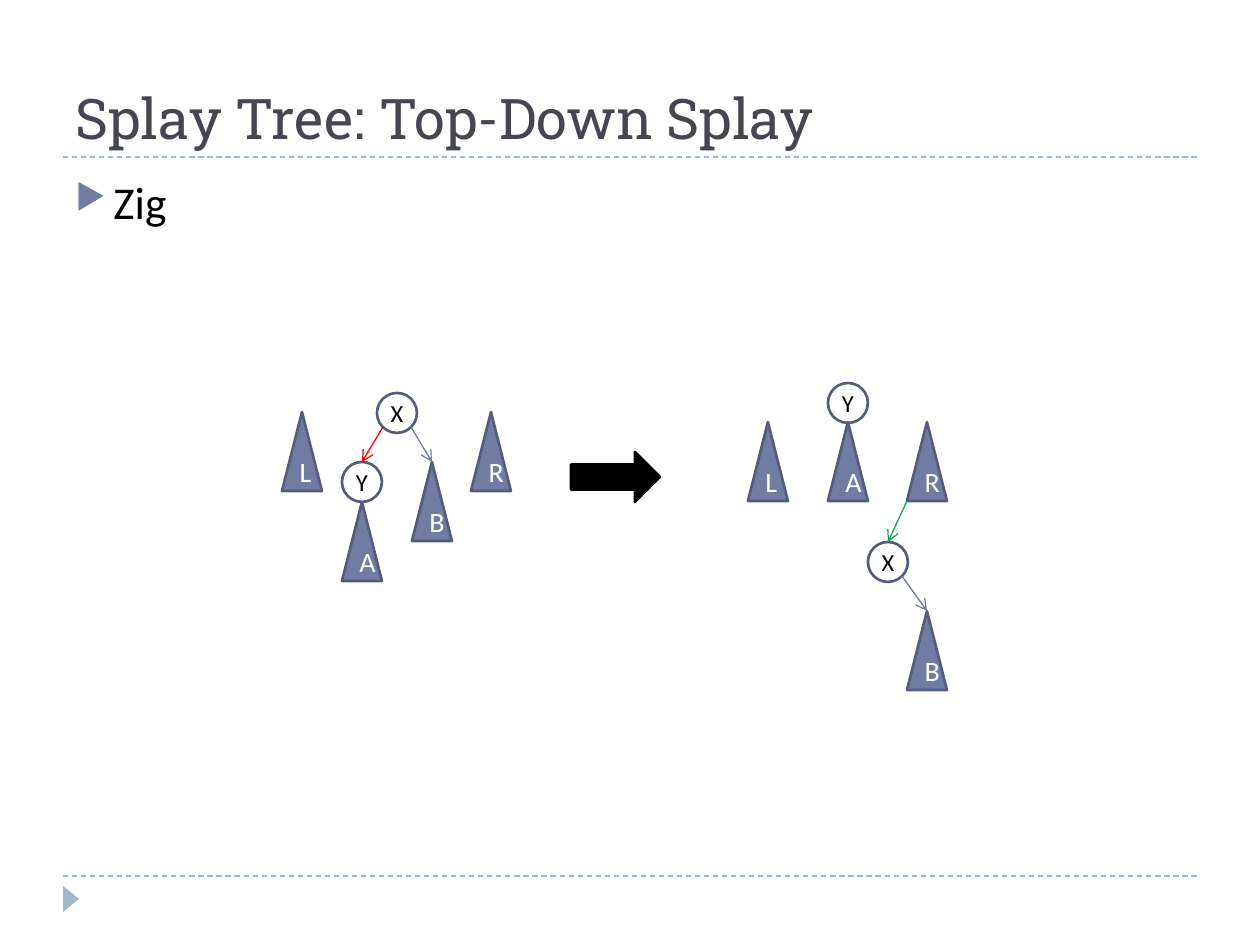
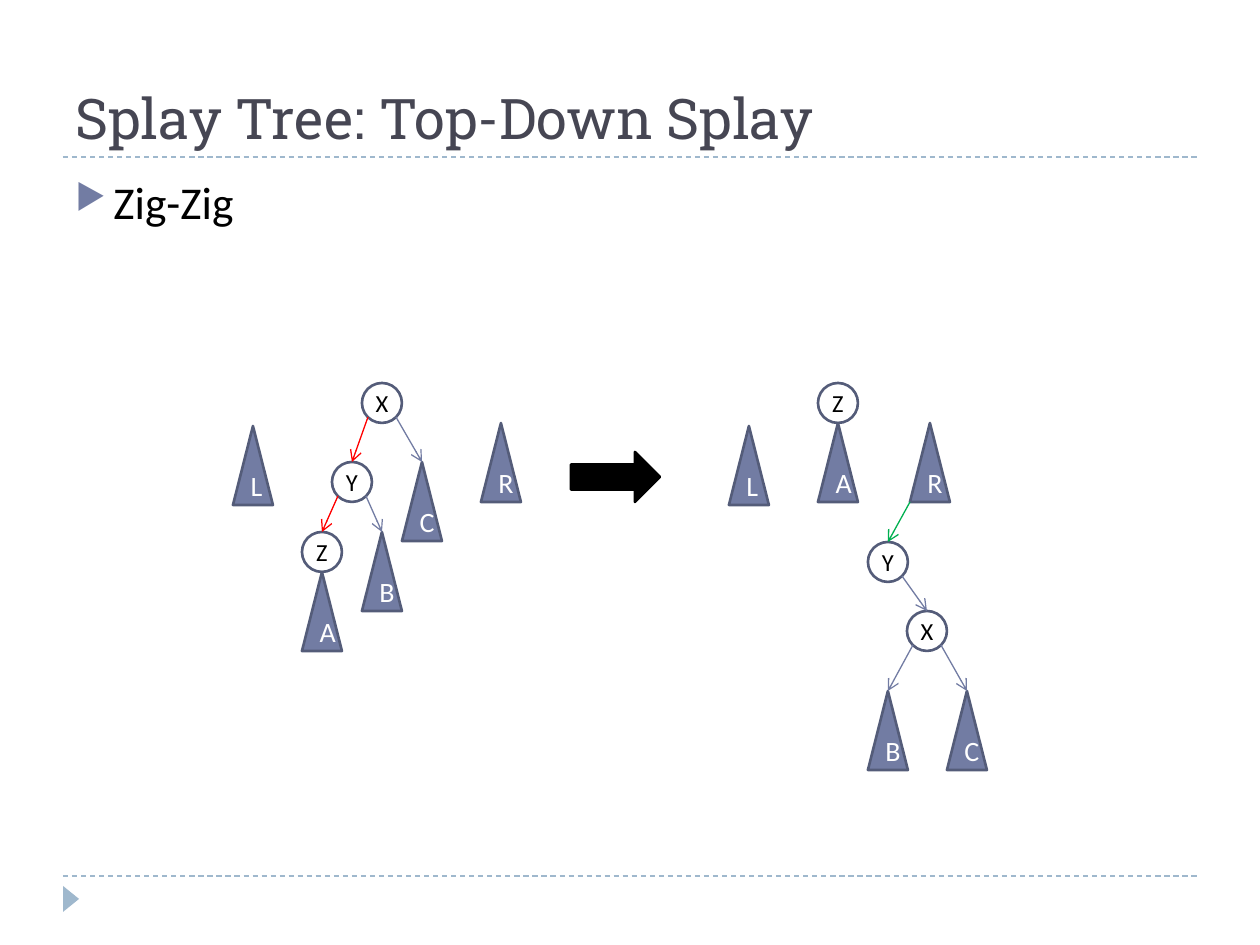
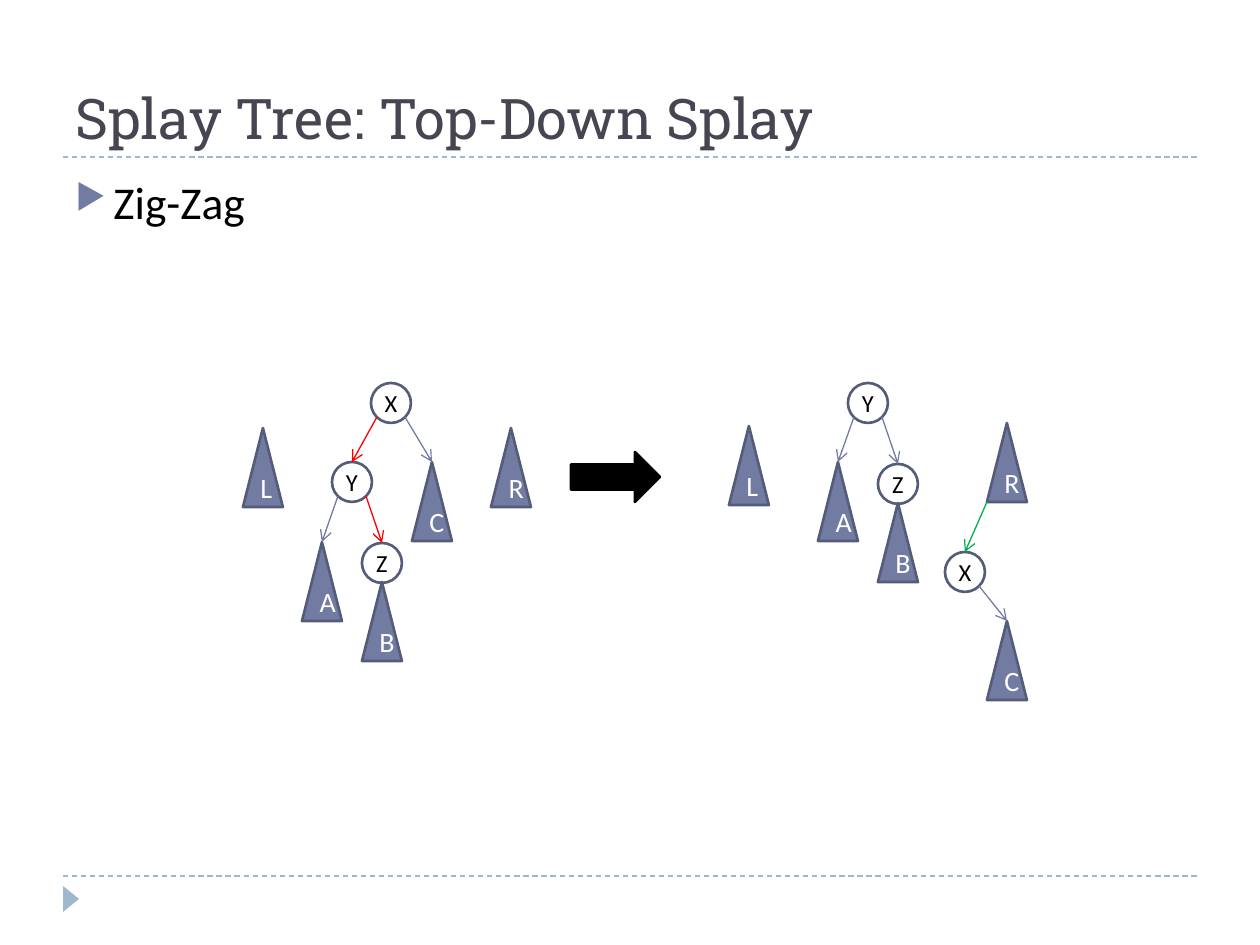
from pptx import Presentation
from pptx import util as u
from pptx.dml.color import RGBColor
from pptx.enum import dml, shapes, text
from pptx.oxml.ns import qn
from lxml import etree

PX = 914400 // 126
COLORS = {"title": "464653", "rule": "9FB8CD", "accent": "727CA3", "outline": "545C79",
          "black": "000000", "white": "FFFFFF", "path": "FF0000", "linked": "00B050"}
RGB = {name: RGBColor.from_string(value) for name, value in COLORS.items()}
SHAPE = shapes.MSO_SHAPE
ALIGN = text.PP_ALIGN
ANCHOR = text.MSO_ANCHOR
NODE, SUBTREE, DIAGONAL = 40, 79, 14

SLIDES = [
    ("Zig", [
        ({"L": (302, 412), "R": (491, 412), "A": (362, 502), "B": (432, 462),
          "X": (397, 393), "Y": (362, 462)}, "XY XB"),
        ({"L": (768, 422), "R": (927, 422), "A": (848, 422), "B": (927, 611),
          "X": (888, 542), "Y": (848, 383)}, "XB RX"),
    ]),
    ("Zig-Zig", [
        ({"L": (253, 426), "R": (501, 423), "A": (322, 572), "B": (382, 532),
          "C": (422, 462), "X": (382, 383), "Y": (352, 462), "Z": (322, 532)},
         "XY XC YZ YB"),
        ({"L": (749, 426), "R": (930, 423), "A": (838, 423), "B": (888, 691),
          "C": (967, 691), "X": (927, 611), "Y": (888, 542), "Z": (838, 383)},
         "XC XB YX RY"),
    ]),
    ("Zig-Zag", [
        ({"L": (263, 428), "R": (511, 428), "A": (322, 542), "B": (382, 582),
          "C": (432, 462), "X": (391, 383), "Y": (352, 462), "Z": (382, 543)},
         "XY XC YZ YA"),
        ({"L": (749, 426), "R": (1007, 423), "A": (838, 462), "B": (898, 503),
          "C": (1007, 621), "X": (965, 552), "Y": (868, 383), "Z": (898, 464)},
         "XC RX YA YZ"),
    ]),
]


def write(sp, words, size, color, font="Calibri", align=ALIGN.LEFT, anchor=ANCHOR.TOP, inset=None):
    tf = sp.text_frame
    tf.word_wrap = True
    tf.vertical_anchor = anchor
    if inset is not None:
        tf.margin_left = tf.margin_right = tf.margin_top = tf.margin_bottom = inset
    p = tf.paragraphs[0]
    p.alignment = align
    r = p.add_run()
    r.text = words
    r.font.size = u.Pt(size)
    r.font.name = font
    r.font.color.rgb = RGB[color]
    return p


def draw(s, kind, box, fill=None, line=None, arrow=False, dash=False):
    box = [round(v * PX) for v in box]
    if kind == "line":
        sp = s.shapes.add_connector(shapes.MSO_CONNECTOR.STRAIGHT, *box)
    else:
        sp = s.shapes.add_shape(kind, *box)
        sp.shadow.inherit = False
        if fill:
            sp.fill.solid()
            sp.fill.fore_color.rgb = RGB[fill]
        else:
            sp.fill.background()
    if line:
        sp.line.color.rgb = RGB[line]
        sp.line.width = u.Pt(0.75 if kind == "line" else 1.5)
    else:
        sp.line.fill.background()
    if dash:
        sp.line.dash_style = dml.MSO_LINE.DASH
    if kind == "line":
        spPr = sp._element.spPr
        if arrow:
            etree.SubElement(spPr.find(qn("a:ln")), qn("a:tailEnd"), type="arrow")
        etree.SubElement(spPr, qn("a:effectLst"))
    return sp


prs = Presentation()
prs.slide_width, prs.slide_height = u.Inches(10), u.Inches(7.5)

for heading, stages in SLIDES:
    s = prs.slides.add_slide(prs.slide_layouts[6])
    for y in (876, 157):
        draw(s, "line", (63, y, 1197, y), line="rule", dash=True)
    draw(s, SHAPE.ISOSCELES_TRIANGLE, (58, 891, 26, 16), fill="rule").rotation = 90

    title = s.shapes.add_textbox(63 * PX, 21 * PX, 1134 * PX, 136 * PX)
    write(title, "Splay Tree: Top-Down Splay", 32, "title", font="Roboto Slab", anchor=ANCHOR.BOTTOM)

    body = s.shapes.add_textbox(63 * PX, 168 * PX, 1134 * PX, 680 * PX)
    p = write(body, heading, 26, "black")
    p.space_before = u.Pt(6)
    pPr = p._p.get_or_add_pPr()
    pPr.set("marL", str(38 * PX))
    pPr.set("indent", str(-38 * PX))
    buClr = etree.SubElement(pPr, qn("a:buClr"))
    etree.SubElement(buClr, qn("a:srgbClr"), val=COLORS["accent"])
    etree.SubElement(pPr, qn("a:buSzPct"), val="76000")
    etree.SubElement(pPr, qn("a:buChar"), char="▶")

    draw(s, SHAPE.RIGHT_ARROW, (571, 452, 89, 50), fill="black", line="black")

    for stage, (nodes, edges) in enumerate(stages):
        for name, (x, y) in nodes.items():
            left = x - NODE / 2
            if name in "XYZ":
                sp = draw(s, SHAPE.OVAL, (left, y, NODE, NODE), line="outline")
                write(sp, name, 14, "black", align=ALIGN.CENTER, anchor=ANCHOR.MIDDLE, inset=0)
            else:
                sp = draw(s, SHAPE.ISOSCELES_TRIANGLE, (left, y, NODE, SUBTREE),
                          fill="accent", line="outline")
                write(sp, name, 16, "white", align=ALIGN.CENTER, anchor=ANCHOR.MIDDLE)
        for parent, child in edges.split():
            x, y = nodes[parent]
            child_x, child_y = nodes[child]
            if parent == "R":
                start, color = (x - NODE / 2, y + SUBTREE), "linked"
            else:
                side = DIAGONAL if child_x > x else -DIAGONAL
                start = (x + side, y + NODE / 2 + DIAGONAL)
                color = "path" if stage == 0 and child in "XYZ" else "accent"
            draw(s, "line", (*start, child_x, child_y), line=color, arrow=True)

prs.save("out.pptx")
